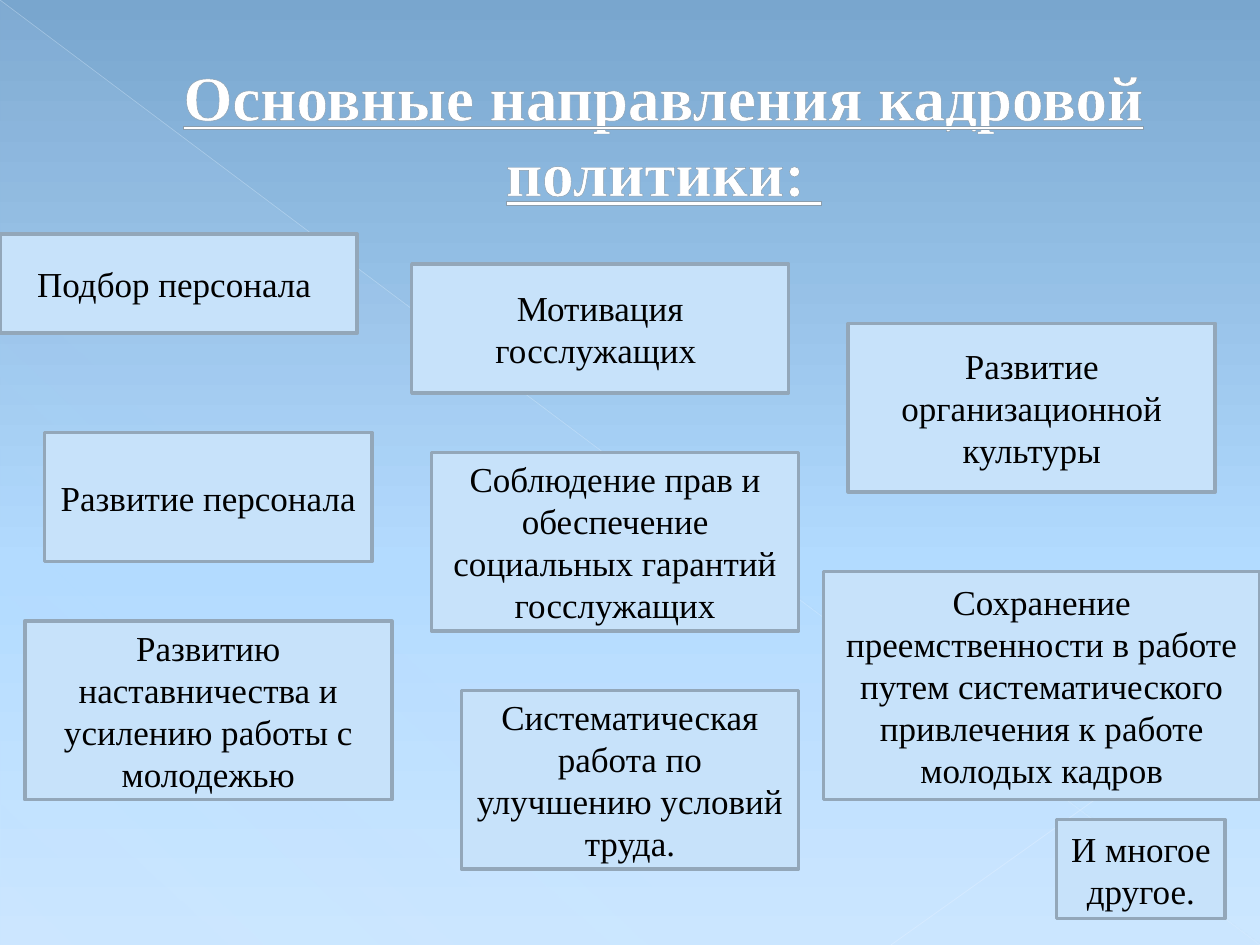
import pptx
import pptx.dml.color
import pptx.enum.shapes
import pptx.enum.text
import pptx.oxml
import pptx.oxml.ns
import pptx.util
from lxml import etree

Cm = pptx.util.Cm
Pt = pptx.util.Pt
RGBColor = pptx.dml.color.RGBColor
qn = pptx.oxml.ns.qn

SKY_TOP = RGBColor(0x79, 0xA6, 0xCE)
SKY_MID = RGBColor(0xB2, 0xDB, 0xFF)
SKY_LOW = RGBColor(0xCC, 0xE7, 0xFF)
PALE = RGBColor(0xC7, 0xE2, 0xFA)
BORDER = RGBColor(0x93, 0xA7, 0xB9)
DIAGONAL = RGBColor(0xE0, 0xF0, 0xFF)
CORNER = RGBColor(0xE3, 0xF1, 0xFF)
OUTLINE = RGBColor(0x8A, 0x9D, 0xAD)
WHITE = RGBColor(0xFF, 0xFF, 0xFF)
BLACK = RGBColor(0, 0, 0)
FONT = "Times New Roman"

SLIDE = (0, 0, 25.4, 19.05)
TITLE = (1.27, 0.74, 22.86, 3.89)
DIRECTIONS = (0, 4.72, 25.4, 13.82)
CARDS = [
    ("Подбор персонала ", 0, 0, 7.2, 2),
    ("Мотивация госслужащих ", 8.3, 0.6, 7.6, 2.6),
    ("Развитие персонала", 0.9, 4, 6.6, 2.6),
    ("Развитие организационной культуры", 17.1, 1.8, 7.4, 3.4),
    ("Соблюдение прав и обеспечение социальных гарантий госслужащих", 8.7, 4.4, 7.4, 3.6),
    ("Сохранение преемственности в работе путем систематического "
     "привлечения к работе молодых кадров", 16.6, 6.8, 8.8, 4.6),
    ("И многое другое.", 21.3, 11.8, 3.4, 2),
    ("Развитию наставничества и усилению работы с молодежью", 0.5, 7.8, 7.4, 3.6),
    ("Систематическая работа по улучшению условий труда.", 9.3, 9.2, 6.8, 3.6),
]


def add_alpha(clr, percent):
    """Give a colour element an opacity."""
    etree.SubElement(clr, qn("a:alpha")).set("val", str(percent * 1000))


def set_gradient(fill, element, angle, stops):
    """Fill with (position, colour, opacity) stops at a clockwise angle."""
    fill.gradient()
    fill.gradient_angle = 360 - angle
    gs_lst = element.find(".//" + qn("a:gsLst"))
    for gs in list(gs_lst):
        gs_lst.remove(gs)
    for pos, color, opacity in stops:
        gs = etree.SubElement(gs_lst, qn("a:gs"), pos=str(pos * 1000))
        clr = etree.SubElement(gs, qn("a:srgbClr"), val=str(color))
        if opacity < 100:
            add_alpha(clr, opacity)


def add_ray(s, x1, y1, x2, y2, color, width, opacity):
    """Draw a thin translucent line."""
    cxn = s.shapes.add_connector(
        pptx.enum.shapes.MSO_CONNECTOR.STRAIGHT, Cm(x1), Cm(y1), Cm(x2), Cm(y2))
    cxn.line.color.rgb = color
    cxn.line.width = Pt(width)
    add_alpha(cxn.element.spPr.find(".//" + qn("a:srgbClr")), opacity)
    etree.SubElement(cxn.element.spPr, qn("a:effectLst"))


def add_backdrop(s, left, top, width, height):
    """Paint the sky gradient, the pale triangle and the two rays."""
    fill = s.background.fill
    set_gradient(fill, s.element, 90,
                 [(0, SKY_TOP, 100), (60, SKY_MID, 100), (100, SKY_LOW, 100)])
    sp = s.shapes.add_shape(pptx.enum.shapes.MSO_SHAPE.RIGHT_TRIANGLE,
                            Cm(left), Cm(top), Cm(width), Cm(height))
    sp.shadow.inherit = False
    sp.line.fill.background()
    set_gradient(sp.fill, sp.element, 133,
                 [(0, PALE, 10), (70, PALE, 8), (100, PALE, 1)])
    right, bottom = left + width, top + height
    add_ray(s, left, top, right, bottom, DIAGONAL, 0.39, 35)
    add_ray(s, right, bottom - 5.3, right - 7.44, bottom, CORNER, 0.47, 45)


def add_title(s, left, top, width, height):
    """Place the outlined, underlined title in front of the backdrop."""
    sp = s.shapes.title
    sp.element.getparent().append(sp.element)
    sp.left, sp.top, sp.width, sp.height = map(Cm, (left, top, width, height))
    tf = sp.text_frame
    tf.word_wrap = True
    tf.vertical_anchor = pptx.enum.text.MSO_ANCHOR.MIDDLE
    p = tf.paragraphs[0]
    p.alignment = pptx.enum.text.PP_ALIGN.CENTER
    pPr = p._p.get_or_add_pPr()
    pPr.set("marL", str(Cm(1.35)))
    pPr.set("indent", "0")
    r = p.add_run()
    r.text = "Основные направления кадровой политики: "
    font = r.font
    font.name, font.size, font.bold, font.underline = FONT, Pt(36), True, True
    font.color.rgb = WHITE
    ln = pptx.oxml.parse_xml(
        '<a:ln xmlns:a="http://schemas.openxmlformats.org/drawingml/2006/main" w="6350">'
        f'<a:solidFill><a:srgbClr val="{OUTLINE}"/></a:solidFill></a:ln>')
    r._r.get_or_add_rPr().insert(0, ln)


def add_card(s, text, left, top, width, height):
    """Add one bordered box with centred text."""
    sp = s.shapes.add_shape(pptx.enum.shapes.MSO_SHAPE.RECTANGLE,
                            Cm(left), Cm(top), Cm(width), Cm(height))
    sp.shadow.inherit = False
    sp.fill.solid()
    sp.fill.fore_color.rgb = PALE
    sp.line.color.rgb = BORDER
    sp.line.width = Pt(2)
    tf = sp.text_frame
    tf.word_wrap = True
    tf.vertical_anchor = pptx.enum.text.MSO_ANCHOR.MIDDLE
    p = tf.paragraphs[0]
    p.text = text
    p.alignment = pptx.enum.text.PP_ALIGN.CENTER
    p.font.name, p.font.size = FONT, Pt(20)
    p.font.color.rgb = BLACK


def add_directions(s, left, top, width, height):
    """Scatter the policy direction cards over the given box."""
    sx, sy = width / DIRECTIONS[2], height / DIRECTIONS[3]
    for text, x, y, w, h in CARDS:
        add_card(s, text, left + x * sx, top + y * sy, w * sx, h * sy)


def main():
    """Build and save the slide."""
    prs = pptx.Presentation()
    prs.slide_width, prs.slide_height = Cm(SLIDE[2]), Cm(SLIDE[3])
    s = prs.slides.add_slide(prs.slide_layouts[5])
    add_backdrop(s, *SLIDE)
    add_title(s, *TITLE)
    add_directions(s, *DIRECTIONS)
    prs.save("out.pptx")


if __name__ == "__main__":
    main()
